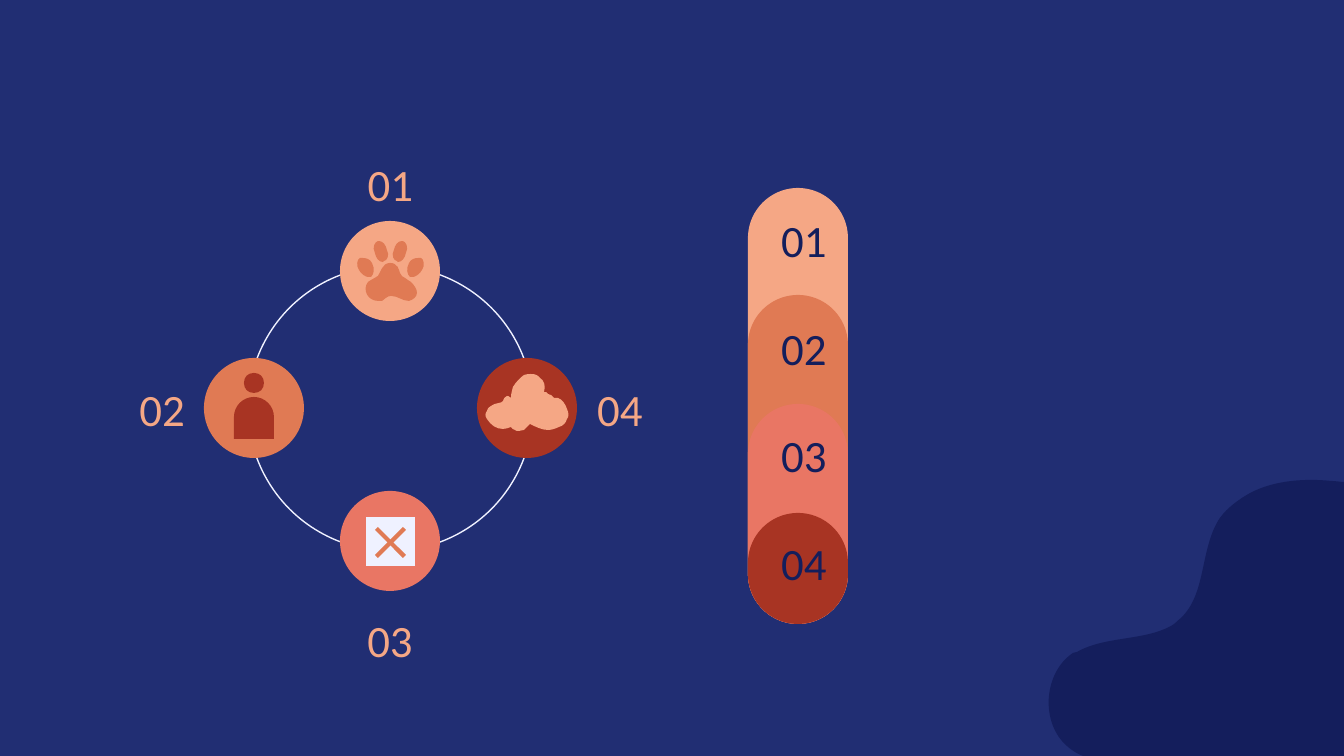
from dataclasses import dataclass

from lxml import etree
from pptx import Presentation
from pptx import util as u
from pptx.dml.color import RGBColor
from pptx.enum import shapes, text
from pptx.oxml import ns

SCALE = 9144000 / 1344  # EMU per px
MIRROR = 781  # twice the x of the ring's vertical axis
COLORS = {
    "night": "212E73", "navy": "141E5C", "peach": "F5A785", "orange": "E07A54",
    "coral": "E97664", "brick": "A83423", "pale": "EFF1FF",
}
Point = tuple[int, int]


@dataclass
class Stage:
    """One numbered stage: its circle on the ring and its pill segment."""
    number: str
    color: str
    circle: Point
    label: tuple[int, int, int, int]
    align: text.PP_ALIGN
    anchor: text.MSO_ANCHOR
    pill_top: int
    pill_label: tuple[int, int]  # top, height


@dataclass
class Outline:
    """A start point, cubic curves of three points each, then straight corners."""
    color: str
    start: Point
    curves: list[tuple[Point, Point, Point]]
    corners: tuple[Point, ...] = ()


ALIGN, ANCHOR = text.PP_ALIGN, text.MSO_ANCHOR
STAGES = [
    Stage("01", "peach", (340, 221), (318, 166, 145, 58), ALIGN.CENTER, ANCHOR.BOTTOM, 188, (202, 78)),
    Stage("02", "orange", (204, 358), (109, 355, 89, 107), ALIGN.RIGHT, ANCHOR.MIDDLE, 295, (307, 81)),
    Stage("03", "coral", (340, 491), (331, 599, 118, 107), ALIGN.CENTER, ANCHOR.TOP, 404, (424, 71)),
    Stage("04", "brick", (477, 358), (584, 355, 89, 107), ALIGN.LEFT, ANCHOR.MIDDLE, 513, (532, 71)),
]
PILL_LEFT, PILL_BOTTOM, SIZE = 748, 624, 100

BLOB = Outline("navy", (1344, 482), [
    ((1340, 482), (1335, 481), (1331, 481)), ((1302, 478), (1269, 481), (1245, 496)),
    ((1234, 503), (1224, 511), (1218, 521)), ((1200, 552), (1206, 594), (1181, 618)),
    ((1177, 621), (1175, 624), (1171, 626)), ((1144, 641), (1105, 636), (1077, 652)),
    ((1076, 652), (1074, 653), (1073, 653)), ((1043, 673), (1040, 724), (1068, 747)),
    ((1074, 752), (1078, 754), (1083, 756)),
], ((1344, 756),))
CLOUD = Outline("peach", (531, 374), [
    ((529, 374), (527, 374), (524, 375)), ((520, 378), (516, 382), (513, 387)),
    ((512, 391), (511, 394), (511, 398)), ((509, 396), (508, 396), (507, 396)),
    ((505, 397), (503, 399), (503, 401)), ((502, 402), (501, 403), (499, 403)),
    ((496, 403), (493, 405), (491, 406)), ((489, 407), (487, 409), (487, 411)),
    ((485, 414), (485, 416), (487, 419)), ((491, 425), (496, 429), (503, 429)),
    ((506, 429), (508, 428), (511, 427)), ((512, 428), (513, 430), (515, 430)),
    ((516, 431), (517, 431), (519, 431)), ((520, 431), (523, 430), (524, 430)),
    ((527, 427), (528, 426), (530, 424)), ((536, 427), (542, 430), (548, 430)),
    ((551, 430), (555, 429), (559, 427)), ((563, 426), (566, 423), (567, 419)),
    ((569, 417), (569, 413), (567, 409)), ((566, 405), (562, 399), (558, 398)),
    ((556, 398), (555, 398), (554, 398)), ((552, 396), (551, 394), (548, 394)),
    ((547, 392), (546, 392), (544, 392)), ((546, 386), (544, 380), (540, 378)),
    ((538, 375), (535, 374), (531, 374)),
])
PAD = Outline("orange", (390, 263), [
    ((382, 263), (380, 274), (378, 276)), ((375, 278), (371, 280), (368, 282)),
    ((362, 290), (368, 301), (378, 301)), ((379, 301), (380, 301), (382, 301)),
    ((384, 300), (387, 296), (391, 296)), ((398, 296), (402, 301), (409, 301)),
    ((413, 300), (417, 297), (417, 293)), ((417, 289), (414, 285), (411, 282)),
    ((410, 281), (407, 280), (405, 278)), ((403, 277), (401, 276), (400, 273)),
    ((399, 270), (398, 263), (390, 263)),
])
OUTER_TOE = Outline("orange", (363, 258), [
    ((362, 258), (361, 258), (360, 258)), ((357, 259), (356, 266), (359, 270)),
    ((361, 274), (366, 277), (368, 277)), ((370, 277), (370, 277), (371, 277)),
    ((374, 274), (375, 269), (372, 263)), ((370, 259), (366, 258), (363, 258)),
])
INNER_TOE = Outline("orange", (379, 241), [
    ((379, 241), (379, 241), (378, 241)), ((375, 242), (372, 247), (375, 253)),
    ((376, 258), (379, 262), (383, 262)), ((383, 262), (384, 262), (384, 261)),
    ((387, 261), (390, 255), (387, 250)), ((386, 245), (383, 241), (379, 241)),
])
HEAD = Outline("brick", (254, 373), [
    ((248, 373), (244, 377), (244, 383)), ((244, 389), (248, 393), (254, 393)),
    ((260, 393), (264, 389), (264, 383)), ((264, 377), (260, 373), (254, 373)),
])
TORSO = Outline("brick", (234, 417), [
    ((234, 406), (243, 397), (254, 397)), ((265, 397), (274, 406), (274, 417)),
], ((274, 439), (234, 439)))
SQUARE = Outline("pale", (366, 517), [], ((366, 566), (415, 566), (415, 517)))
CROSS_BAR = Outline("orange", (403, 527), [], ((375, 555), (378, 558), (406, 530)))


def px(length: float) -> int:
    return round(length * SCALE)


def rgb(color: str) -> RGBColor:
    return RGBColor.from_string(COLORS[color])


def paint(shape, color: str) -> None:
    shape.shadow.inherit = False
    shape.fill.solid()
    shape.fill.fore_color.rgb = rgb(color)
    shape.line.fill.background()


def add_preset(page, kind, left: int, top: int, width: int, height: int, color: str):
    shape = page.shapes.add_shape(kind, px(left), px(top), px(width), px(height))
    paint(shape, color)
    return shape


def add_outline(page, outline: Outline, mirrored: bool = False):
    points = [outline.start, *(point for curve in outline.curves for point in curve),
              *outline.corners]
    spots = [(px(MIRROR - x if mirrored else x), px(y)) for x, y in points]
    builder = page.shapes.build_freeform(*spots[0])
    builder.add_line_segments(spots[1:], close=True)
    shape = builder.convert_to_shape()
    paint(shape, outline.color)
    # Join each three points of a curve into one cubic segment
    lines = list(shape.element.iter(ns.qn("a:lnTo")))
    for first in range(0, 3 * len(outline.curves), 3):
        cubic = etree.Element(ns.qn("a:cubicBezTo"))
        lines[first].addprevious(cubic)
        for line in lines[first:first + 3]:
            cubic.append(line[0])
            line.getparent().remove(line)
    return shape


def add_label(page, words: str, frame: tuple[int, int, int, int], color: str,
              align: text.PP_ALIGN, anchor: text.MSO_ANCHOR) -> None:
    box = page.shapes.add_textbox(*map(px, frame)).text_frame
    box.word_wrap = True
    box.vertical_anchor = anchor
    box.margin_left = box.margin_right = box.margin_top = box.margin_bottom = u.Inches(0.1)
    box.text = words
    para = box.paragraphs[0]
    para.alignment = align
    font = para.runs[0].font
    font.name, font.size = "Calibri", u.Pt(24)
    font.color.rgb = rgb(color)


def main() -> None:
    deck = Presentation()
    deck.slide_width, deck.slide_height = px(1344), px(756)
    layout = deck.slide_layouts[6]
    page = deck.slides.add_slide(layout)
    page.background.fill.solid()
    page.background.fill.fore_color.rgb = rgb("night")

    # Corner blob belongs to the layout
    layout.shapes.element.append(add_outline(page, BLOB).element)

    # Stacked pill: each segment runs down to the common bottom
    kinds = shapes.MSO_SHAPE
    for stage in STAGES:
        pill = add_preset(page, kinds.ROUNDED_RECTANGLE, PILL_LEFT, stage.pill_top,
                          SIZE, PILL_BOTTOM - stage.pill_top, stage.color)
        pill.adjustments[0] = 0.5

    # Ring with its four circles
    ring = add_preset(page, kinds.OVAL, 248, 266, 285, 285, "night")
    ring.fill.background()
    ring.line.color.rgb = rgb("pale")
    ring.line.width = u.Pt(0.75)
    for stage in STAGES:
        add_preset(page, kinds.OVAL, *stage.circle, SIZE, SIZE, stage.color)

    # Icons: crossed square, person, cloud, paw
    for outline in (SQUARE, HEAD, TORSO, CLOUD, PAD):
        add_outline(page, outline)
    for outline in (CROSS_BAR, OUTER_TOE, INNER_TOE):
        for mirrored in (False, True):
            add_outline(page, outline, mirrored)

    # Numbers
    for stage in STAGES:
        add_label(page, stage.number, stage.label, "peach", stage.align, stage.anchor)
        top, height = stage.pill_label
        add_label(page, stage.number, (768, top, 89, height), "navy", ALIGN.LEFT, ANCHOR.BOTTOM)

    deck.save("out.pptx")


if __name__ == "__main__":
    main()
